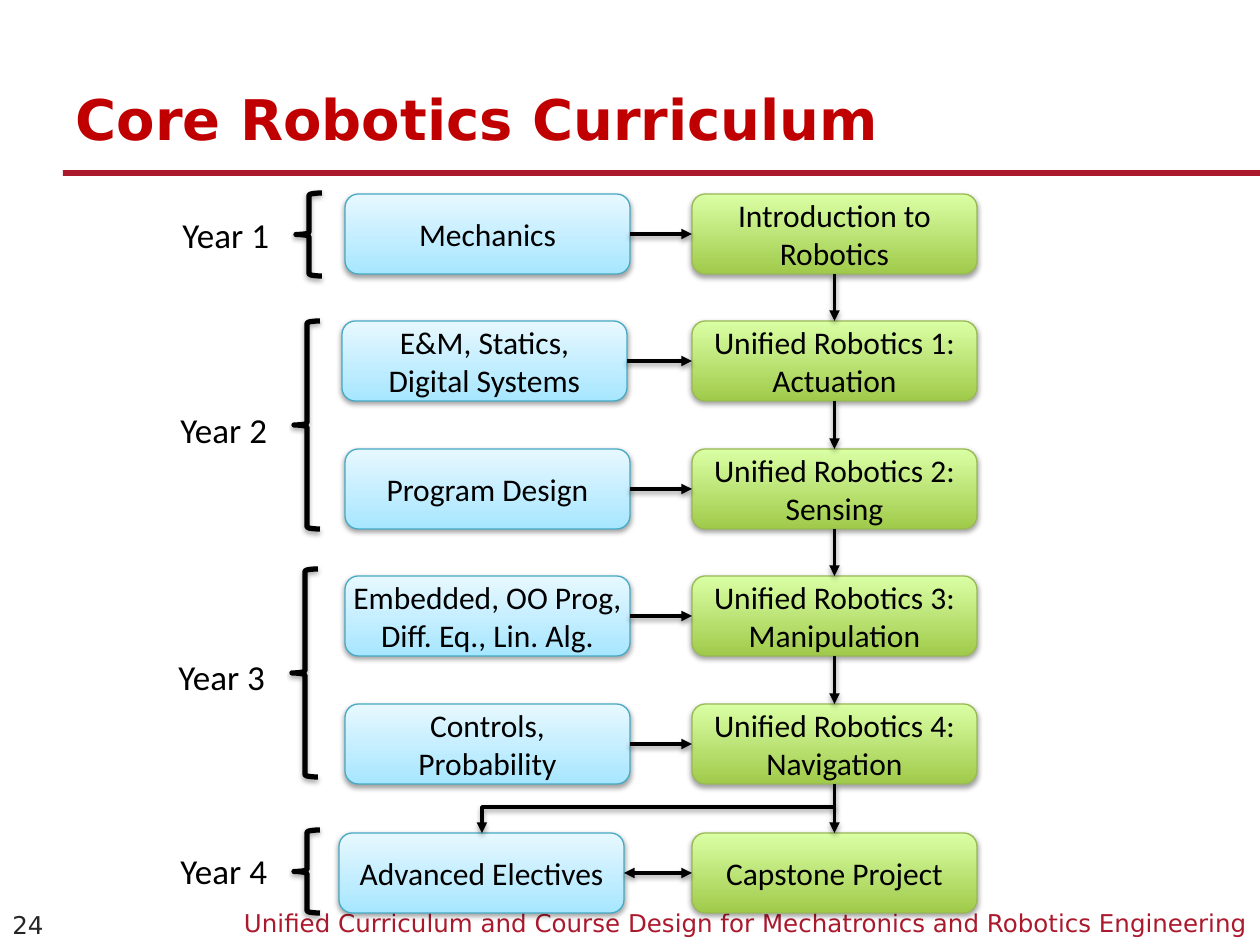
from lxml import etree
from pptx import Presentation
from pptx.dml.color import RGBColor
from pptx.enum import shapes, text
from pptx.oxml import ns
from pptx import util as u

PX = u.Inches(1) / 126
CRIMSON = RGBColor(0xAB, 0x19, 0x2D)
RED = RGBColor(0xC0, 0x00, 0x00)
BLACK = RGBColor(0x00, 0x00, 0x00)
WHITE = RGBColor(0xFF, 0xFF, 0xFF)
CHARCOAL = RGBColor(0x26, 0x26, 0x26)
GREEN = (RGBColor(0xA0, 0xCA, 0x4A), RGBColor(0xDA, 0xFF, 0xA5), RGBColor(0x98, 0xB9, 0x55))
BLUE = (RGBColor(0xA7, 0xE6, 0xFF), RGBColor(0xE7, 0xF8, 0xFF), RGBColor(0x46, 0xAA, 0xC5))
HEADING_FONT = "DejaVu Sans"
DIAGRAM_FONT = "Calibri"
BOX_WIDTH, BOX_HEIGHT = 285, 80
CORE_LEFT = 692
TOP, LEFT, BOTTOM, RIGHT = range(4)


def px(*lengths):
    return [u.Emu(round(length * PX)) for length in lengths]


def write(frame, words, font=DIAGRAM_FONT, size=18, color=BLACK, bold=False,
          align=text.PP_ALIGN.LEFT, anchor=text.MSO_ANCHOR.MIDDLE, spacing=None):
    frame.word_wrap = True
    frame.vertical_anchor = anchor
    frame.text = words
    paragraph = frame.paragraphs[0]
    paragraph.alignment = align
    paragraph.line_spacing = spacing
    run_font = paragraph.runs[0].font
    run_font.name = font
    run_font.size = u.Pt(size)
    run_font.bold = bold
    run_font.color.rgb = color


def add_shadow(effects, opacity):
    shadow = etree.SubElement(effects, ns.qn("a:outerShdw"), blurRad=str(u.Pt(3.1)),
                              dist=str(u.Pt(1.7)), dir="5400000", rotWithShape="0")
    tint = etree.SubElement(shadow, ns.qn("a:srgbClr"), val=str(BLACK))
    etree.SubElement(tint, ns.qn("a:alpha"), val=str(opacity * 1000))


class CurriculumSlide:
    def __init__(self, deck):
        self.slide = deck.slides.add_slide(deck.slide_layouts[5])
        self.shapes = self.slide.shapes

    def title(self, words, *area):
        heading = self.shapes.title
        heading.left, heading.top, heading.width, heading.height = px(*area)
        write(heading.text_frame, words, font=HEADING_FONT, size=32, color=RED, bold=True)

    def rule(self, *area):
        rule = self.shapes.add_shape(shapes.MSO_SHAPE.RECTANGLE, *px(*area))
        rule.shadow.inherit = False
        rule.fill.solid()
        rule.fill.fore_color.rgb = CRIMSON
        rule.line.fill.background()

    def caption(self, words, *area, fill=None, **style):
        caption = self.shapes.add_textbox(*px(*area))
        if fill is not None:
            caption.fill.solid()
            caption.fill.fore_color.rgb = fill
        write(caption.text_frame, words, **style)

    def course(self, words, left, top, palette, tight=False):
        course = self.shapes.add_shape(shapes.MSO_SHAPE.ROUNDED_RECTANGLE,
                                       *px(left, top, BOX_WIDTH, BOX_HEIGHT))
        *stops, border = palette
        course.fill.gradient()
        course.fill.gradient_angle = 90
        for stop, color in zip(course.fill.gradient_stops, stops):
            stop.color.rgb = color
        course.line.color.rgb = border
        course.line.width = u.Pt(0.75)
        self.shade(course, 36)
        if tight:
            course.text_frame.margin_left = course.text_frame.margin_right = 0
        write(course.text_frame, words, align=text.PP_ALIGN.CENTER)
        return course

    def brace(self, *area):
        brace = self.shapes.add_shape(shapes.MSO_SHAPE.LEFT_BRACE, *px(*area))
        brace.fill.background()
        brace.line.color.rgb = BLACK
        brace.line.width = u.Pt(3)
        self.shade(brace, 35)

    def shade(self, shape, opacity):
        shape.shadow.inherit = False
        add_shadow(shape._element.spPr.find(ns.qn("a:effectLst")), opacity)

    def arrow(self, kind, *ends, heads=("tailEnd",)):
        arrow = self.shapes.add_connector(kind, *px(*ends))
        arrow.line.color.rgb = BLACK
        arrow.line.width = u.Pt(2)
        for head in heads:
            etree.SubElement(arrow.line._get_or_add_ln(), ns.qn(f"a:{head}"), type="triangle")
        add_shadow(etree.SubElement(arrow._element.spPr, ns.qn("a:effectLst")), 38)
        return arrow

    def link(self, source, source_side, target, target_side, **style):
        arrow = self.arrow(shapes.MSO_CONNECTOR.STRAIGHT, 0, 0, 0, 0, **style)
        arrow.begin_connect(source, source_side)
        arrow.end_connect(target, target_side)

    def corner(self, *ends):
        arrow = self.arrow(shapes.MSO_CONNECTOR.ELBOW, *ends)
        arrow._element.spPr.find(ns.qn("a:prstGeom")).set("prst", "bentConnector2")


ROWS = [
    (194, 345, "Mechanics", "Introduction to Robotics"),
    (321, 342, "E&M, Statics, Digital Systems", "Unified Robotics 1: Actuation"),
    (449, 345, "Program Design", "Unified Robotics 2: Sensing"),
    (576, 345, "Embedded, OO Prog, Diff. Eq., Lin. Alg.", "Unified Robotics 3: Manipulation"),
    (704, 345, "Controls, Probability", "Unified Robotics 4: Navigation"),
    (833, 339, "Advanced Electives", "Capstone Project"),
]
YEARS = [
    ("Year 1", 296, 193, 83, 204),
    ("Year 2", 294, 321, 208, 399),
    ("Year 3", 292, 569, 208, 646),
    ("Year 4", 294, 830, 83, 840),
]


def main():
    deck = Presentation()
    deck.slide_width, deck.slide_height = px(1260, 945)
    page = CurriculumSlide(deck)
    page.rule(63, 170, 1197, 6)
    page.caption("Unified Curriculum and Course Design for Mechatronics and Robotics Engineering",
                 63, 902, 1197, 43, font=HEADING_FONT, size=14, color=CRIMSON,
                 align=text.PP_ALIGN.RIGHT, anchor=text.MSO_ANCHOR.TOP)
    page.title("Core Robotics Curriculum", 63, 38, 1134, 161)

    previous_core = None
    for top, left, support_name, core_name in ROWS:
        core = page.course(core_name, CORE_LEFT, top, GREEN)
        support = page.course(support_name, left, top, BLUE,
                              tight=support_name.startswith("Embedded"))
        both_ways = support_name == "Advanced Electives"
        page.link(support, RIGHT, core, LEFT,
                  heads=("headEnd", "tailEnd") if both_ways else ("tailEnd",))
        if previous_core is not None:
            page.link(previous_core, BOTTOM, core, TOP)
        previous_core = core
    page.corner(835, 807, 482, 833)

    for year, left, top, height, label_top in YEARS:
        page.brace(left, top, 26, height)
        page.caption(year, left - 126, label_top, 121, 44, fill=WHITE, size=20,
                     anchor=text.MSO_ANCHOR.TOP, spacing=1.07)
    page.caption("24", 0, 905, 73, 40, font=HEADING_FONT, size=14, color=CHARCOAL)
    deck.save("out.pptx")


if __name__ == "__main__":
    main()
